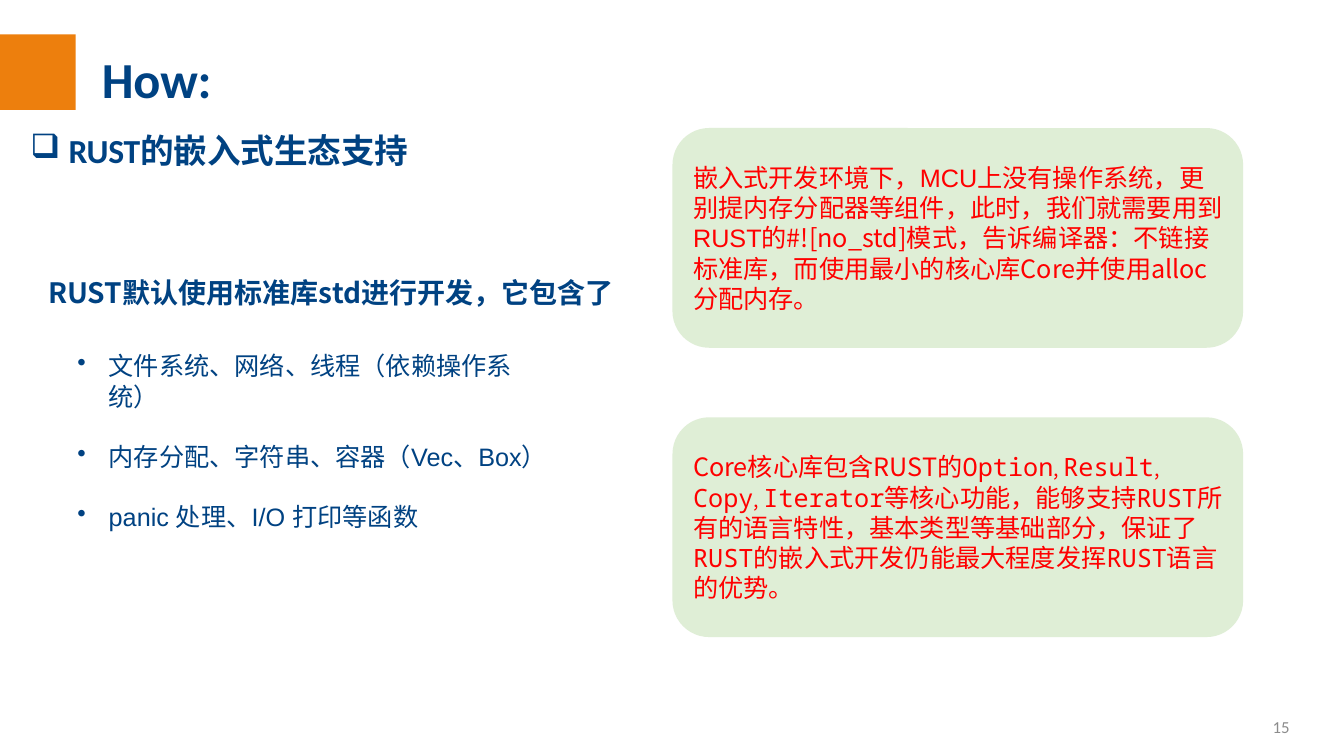
from pptx import Presentation, util as u
from pptx.dml.color import RGBColor
from pptx.enum import shapes, text
from pptx.oxml import parse_xml
from pptx.oxml.ns import nsdecls, qn
from lxml import etree

PX = 9144  # 100 px to the inch
NAVY = RGBColor(0x00, 0x42, 0x82)
ORANGE = RGBColor(0xED, 0x7F, 0x0D)
GREEN = RGBColor(0xC5, 0xE0, 0xB4)
RED = RGBColor(0xFF, 0x00, 0x00)
GRAY = RGBColor(0x8C, 0x8C, 0x8C)
HEAD, BODY, CJK, MONO = "Calibri", "Arial", "Noto Sans CJK SC", "Noto Sans Mono"

# Content: runs are (words, font, size)
TITLE = ("How:", HEAD, 36)
TOPIC = ("RUST的嵌入式生态支持", HEAD, 24)
LEAD = [("RUST默认使用标准库std进行开发，", CJK, 20), ("它包含了", BODY, 20)]
ITEMS = ["文件系统、网络、线程（依赖操作系统）",
         "内存分配、字符串、容器（Vec、Box）",
         "panic 处理、I/O 打印等函数"]
COMMA = (", ", CJK, 14)
CARDS = [
    [("嵌入式开发环境下，MCU上没有操作系统，更别提内存分配器等组件，"
      "此时，我们就需要用到RUST的", BODY, 18),
     ("#![no_std]模式，告诉编译器：不链接标准库，而使用最小的核心库Core"
      "并使用alloc分配内存。", CJK, 18)],
    [("Core核心库包含RUST的", CJK, 18),
     ("Option", MONO, 18), COMMA, ("Result", MONO, 18), COMMA,
     ("Copy", MONO, 18), COMMA,
     ("Iterator等核心功能，能够支持RUST所有的语言特性，基本类型等基础部分，"
      "保证了RUST的嵌入式开发仍能最大程度发挥RUST语言的优势。", MONO, 18)],
]
NUMBER = ("15", HEAD, 12)

deck = Presentation()
deck.slide_width, deck.slide_height = 1333 * PX, 750 * PX
slide = deck.slides.add_slide(deck.slide_layouts[5])


def write(para, runs, color, bold=False, space=None):
    for words, face, size in runs:
        run = para.add_run()
        run.text = words
        font = run.font
        font.name, font.size, font.bold = face, u.Pt(size), bold
        font.color.rgb = color
        if space:
            run._r.get_or_add_rPr().set("spc", str(space))


def bullet(para, mark, left, hang):
    props = para._p.get_or_add_pPr()
    props.set("marL", str(left * PX))
    props.set("indent", str(-hang * PX))
    props.append(parse_xml(f'<a:buChar {nsdecls("a")} char="{mark}"/>'))


def box(left, top, width, height):
    frame = slide.shapes.add_textbox(*(n * PX for n in (left, top, width, height))).text_frame
    frame.word_wrap = True
    return frame


def tight(frame):
    frame.margin_left = frame.margin_right = frame.margin_bottom = 0
    frame.margin_top = PX


def block(kind, left, top, width, height, color):
    shape = slide.shapes.add_shape(kind, *(n * PX for n in (left, top, width, height)))
    shape.shadow.inherit = False
    shape.fill.solid()
    shape.fill.fore_color.rgb = color
    shape.line.fill.background()
    return shape


# Orange marker and title
block(shapes.MSO_SHAPE.RECTANGLE, 0, 34, 75, 75, ORANGE)
title = slide.shapes.title
title.left, title.top, title.width, title.height = (n * PX for n in (101, 47, 690, 62))
frame = title.text_frame
tight(frame)
frame.vertical_anchor = text.MSO_ANCHOR.TOP
frame.auto_size = text.MSO_AUTO_SIZE.NONE
para = frame.paragraphs[0]
para.alignment = text.PP_ALIGN.LEFT
write(para, [TITLE], NAVY, True, -10)

# Topic line
frame = box(29, 116, 575, 50)
tight(frame)
para = frame.paragraphs[0]
bullet(para, "❑", 39, 38)
para.line_spacing = 1.3
write(para, [TOPIC], NAVY, True, -10)

# Lead sentence
write(box(38, 268, 667, 44).paragraphs[0], LEAD, NAVY, True)

# Bullet list
frame = box(67, 343, 488, 162)
for i, item in enumerate(ITEMS):
    para = frame.add_paragraph() if i else frame.paragraphs[0]
    bullet(para, "•", 31, 31)
    if i:
        para.space_before = u.Pt(21.5)
    write(para, [(item, BODY, 18)], NAVY)

# Green cards
for i, runs in enumerate(CARDS):
    card = block(shapes.MSO_SHAPE.ROUNDED_RECTANGLE, 667, 127 + 287 * i, 566, 218, GREEN)
    tint = card.fill._xPr.find(".//" + qn("a:srgbClr"))
    etree.SubElement(tint, qn("a:alpha")).set("val", "54000")
    frame = card.text_frame
    frame.vertical_anchor = text.MSO_ANCHOR.MIDDLE
    para = frame.paragraphs[0]
    para.alignment = text.PP_ALIGN.LEFT
    write(para, runs, RED)

# Page number
frame = box(989, 701, 300, 40)
frame.vertical_anchor = text.MSO_ANCHOR.MIDDLE
para = frame.paragraphs[0]
para.alignment = text.PP_ALIGN.RIGHT
write(para, [NUMBER], GRAY)

deck.save("out.pptx")
